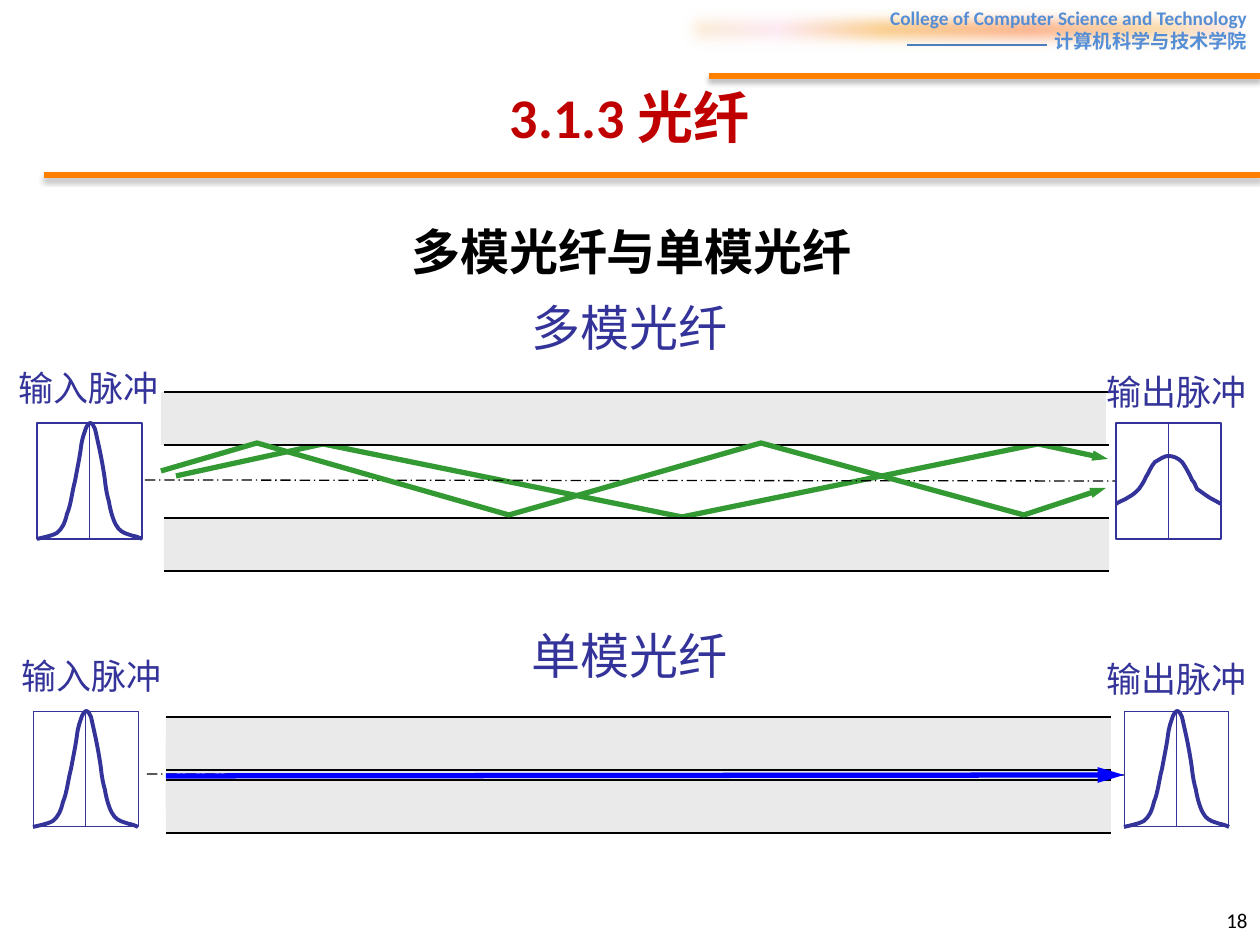
from lxml import etree
from pptx import Presentation
from pptx import util as u
from pptx.dml.color import RGBColor
from pptx.enum import dml, shapes, text
from pptx.oxml.ns import qn

SCALE = 914400 // 126
PULSE_W, PULSE_H = 105, 116
FIBER_W, CLADDING_H = 945, 53
CJK, LATIN, DISPLAY = "Noto Sans CJK SC", "Calibri", "Karla"
NAVY, GREEN, BLUE, ORANGE = "333399", "339933", "0000FF", "FF8000"
BLACK, WHITE, GRAY, RED, SKY = "000000", "FFFFFF", "EAEAEA", "C00000", "558ED5"

NARROW = [(0, 116), (4, 115), (15, 113), (20, 110), (25, 106), (28, 100), (30, 91),
          (34, 82), (35, 69), (38, 58), (40, 47), (43, 33), (44, 24), (45, 16),
          (47, 11), (48, 8), (49, 4), (51, 1), (53, 0), (55, 0), (57, 3), (58, 6),
          (59, 10), (60, 15), (62, 24), (64, 33), (67, 49), (68, 58), (69, 67),
          (70, 72), (72, 79), (73, 86), (76, 97), (79, 102), (82, 108), (87, 110),
          (90, 111), (93, 112), (93, 112), (96, 113), (98, 113), (103, 115), (105, 116)]
WIDE = [(0, 81), (2, 79), (9, 77), (13, 74), (17, 72), (20, 69), (23, 66), (25, 63),
        (28, 59), (30, 54), (33, 50), (35, 43), (39, 39), (43, 37), (48, 33), (52, 33),
        (57, 33), (62, 35), (66, 39), (69, 43), (74, 52), (76, 57), (79, 60), (79, 62),
        (81, 66), (84, 68), (88, 71), (91, 73), (95, 76), (102, 79), (105, 81)]

SHALLOW_RAY = [(176, 476), (323, 444), (682, 517), (1038, 444), (1108, 459)]
STEEP_RAY = [(161, 471), (257, 443), (509, 515), (761, 443), (1024, 515), (1106, 488)]
RAY_HEAD = {"type": "triangle", "w": "sm", "len": "med"}
BEAM_HEAD = {"type": "triangle", "w": "med", "len": "lg"}

CLADDINGS = [(161, 392), (164, 518), (166, 717), (166, 780)]
FIBERS = [(164, 392, 518), (166, 717, 780)]
AXES = [(145, 480, 1124, 481), (147, 774, 1126, 775)]
PULSES = [(37, 423, NARROW, 0.75), (1116, 423, WIDE, 0.75),
          (33, 711, NARROW, 0.5), (1124, 711, NARROW, 0.5)]
LABELS = [("输入脉冲", 6, 360, 166, 54, 20, CJK), ("输出脉冲", 1094, 364, 166, 54, 20, CJK),
          ("输入脉冲", 9, 648, 166, 54, 20, CJK), ("输出脉冲", 1094, 651, 166, 54, 20, CJK),
          ("多模光纤", 519, 291, 223, 72, 28, DISPLAY), ("单模光纤", 519, 619, 223, 72, 28, DISPLAY)]
RULES = [(44, 175, 1260, 175), (709, 76, 1260, 76)]
BANNER_STOPS = [(0, "FBEAC7"), (18, "FEE7F2"), (36, "FAC77D"),
                (61, "FBA97D"), (82, "FBD49C"), (100, "FEE7F2")]
BANNER_TEXT = ["College of Computer Science and Technology", "计算机科学与技术学院"]

deck = Presentation()
deck.slide_width, deck.slide_height = u.Inches(10), u.Inches(7.5)
page = deck.slides.add_slide(deck.slide_layouts[6])


def px(*lengths):
    return [round(length * SCALE) for length in lengths]


def color(value):
    return RGBColor.from_string(value)


def add(parent, tag, **attributes):
    return etree.SubElement(parent, qn(tag), {k: str(v) for k, v in attributes.items()})


def set_line(item, hue, width, head=None):
    item.line.color.rgb = color(hue)
    item.line.width = u.Pt(width)
    if head:
        add(item.line._get_or_add_ln(), "a:tailEnd", **head)


def line(x1, y1, x2, y2, hue=BLACK, width=0.75, head=None):
    item = page.shapes.add_connector(shapes.MSO_CONNECTOR.STRAIGHT, *px(x1, y1, x2, y2))
    set_line(item, hue, width, head)
    return item, add(item._element.spPr, "a:effectLst")


def rect(x, y, w, h, fill=GRAY, hue=None, width=0.5):
    box = page.shapes.add_shape(shapes.MSO_SHAPE.RECTANGLE, *px(x, y, w, h))
    box.shadow.inherit = False
    box.fill.solid()
    box.fill.fore_color.rgb = color(fill)
    if hue:
        set_line(box, hue, width)
    else:
        box.line.fill.background()
    return box


def outline(points, hue, width, head=None):
    start, *rest = [px(*point) for point in points]
    builder = page.shapes.build_freeform(*start)
    builder.add_line_segments(rest, close=False)
    item = builder.convert_to_shape()
    item.shadow.inherit = False
    item.fill.background()
    set_line(item, hue, width, head)
    return item


def curve(points, hue, width):
    segments = list(outline(points, hue, width)._element.iter(qn("a:lnTo")))
    for first, second, third in zip(segments[::3], segments[1::3], segments[2::3]):
        first.tag = qn("a:cubicBezTo")
        for segment in (second, third):
            first.append(segment[0])
            segment.getparent().remove(segment)


def style(para, size, hue, name, bold=False, align=None):
    para.alignment = align
    font = para.font
    font.size, font.bold, font.name = u.Pt(size), bold, name
    font.color.rgb = color(hue)
    for span in para.runs:
        add(span._r.get_or_add_rPr(), "a:ea", typeface=CJK)


def label(words, x, y, w, h, size, name, hue=NAVY, bold=False, align=None,
          anchor=text.MSO_ANCHOR.TOP, wrap=False):
    frame = page.shapes.add_textbox(*px(x, y, w, h)).text_frame
    frame.word_wrap = wrap
    if not wrap:
        frame.auto_size = text.MSO_AUTO_SIZE.SHAPE_TO_FIT_TEXT
    frame.vertical_anchor = anchor
    frame.text = words
    style(frame.paragraphs[0], size, hue, name, bold, align)


def pulse(x, y, profile, width):
    rect(x, y, PULSE_W, PULSE_H, WHITE, NAVY, width)
    line(x + PULSE_W / 2, y, x + PULSE_W / 2, y + PULSE_H, NAVY, 0.5)
    curve([(x + dx, y + dy) for dx, dy in profile], NAVY, 2.25)


def banner():
    box = rect(672, 0, 588, 59)
    properties = box._element.spPr
    solid = properties.find(qn("a:solidFill"))
    gradient = etree.Element(qn("a:gradFill"), rotWithShape="1")
    stops = add(gradient, "a:gsLst")
    for position, hue in BANNER_STOPS:
        add(add(stops, "a:gs", pos=position * 1000), "a:srgbClr", val=hue)
    add(gradient, "a:lin", ang=0, scaled=0)
    properties.replace(solid, gradient)
    add(properties.find(qn("a:effectLst")), "a:softEdge", rad=127000)
    frame = box.text_frame
    frame.vertical_anchor = text.MSO_ANCHOR.TOP
    frame.text = "\n".join(BANNER_TEXT)
    for para in frame.paragraphs:
        style(para, 11, SKY, LATIN, True, text.PP_ALIGN.RIGHT)
    line(907, 45, 1047, 45, "4B7EBC")


def header_rule(*ends):
    item, effects = line(*ends, ORANGE, 3)
    shadow = add(effects, "a:outerShdw", blurRad=u.Pt(3.1), dist=u.Pt(1.8),
                 dir=5400000, rotWithShape=0)
    add(add(shadow, "a:srgbClr", val=BLACK), "a:alpha", val=35000)


banner()
for ends in RULES:
    header_rule(*ends)

outline(SHALLOW_RAY, GREEN, 3, RAY_HEAD)
rect(166, 738, FIBER_W, 73)
for left, top in CLADDINGS:
    rect(left, top, FIBER_W, CLADDING_H)
for left, *tops in FIBERS:
    for top in tops:
        for edge in (top, top + CLADDING_H):
            line(left, edge, left + FIBER_W, edge)
for ends in AXES:
    axis, effects = line(*ends)
    axis.line.dash_style = dml.MSO_LINE.LONG_DASH_DOT
for item in PULSES:
    pulse(*item)
line(166, 776, 1124, 775, BLUE, 3, BEAM_HEAD)
outline(STEEP_RAY, GREEN, 3, RAY_HEAD)

for item in LABELS:
    label(*item)
CENTER, MIDDLE = text.PP_ALIGN.CENTER, text.MSO_ANCHOR.MIDDLE
label("3.1.3 光纤", 63, 38, 1134, 157, 32, LATIN, RED, True, CENTER, MIDDLE, True)
label("多模光纤与单模光纤", 95, 195, 1073, 92, 28, CJK, BLACK, True, CENTER,
      text.MSO_ANCHOR.BOTTOM, True)
label("18", 966, 895, 294, 50, 12, LATIN, BLACK, False, text.PP_ALIGN.RIGHT, MIDDLE, True)

deck.save("out.pptx")
